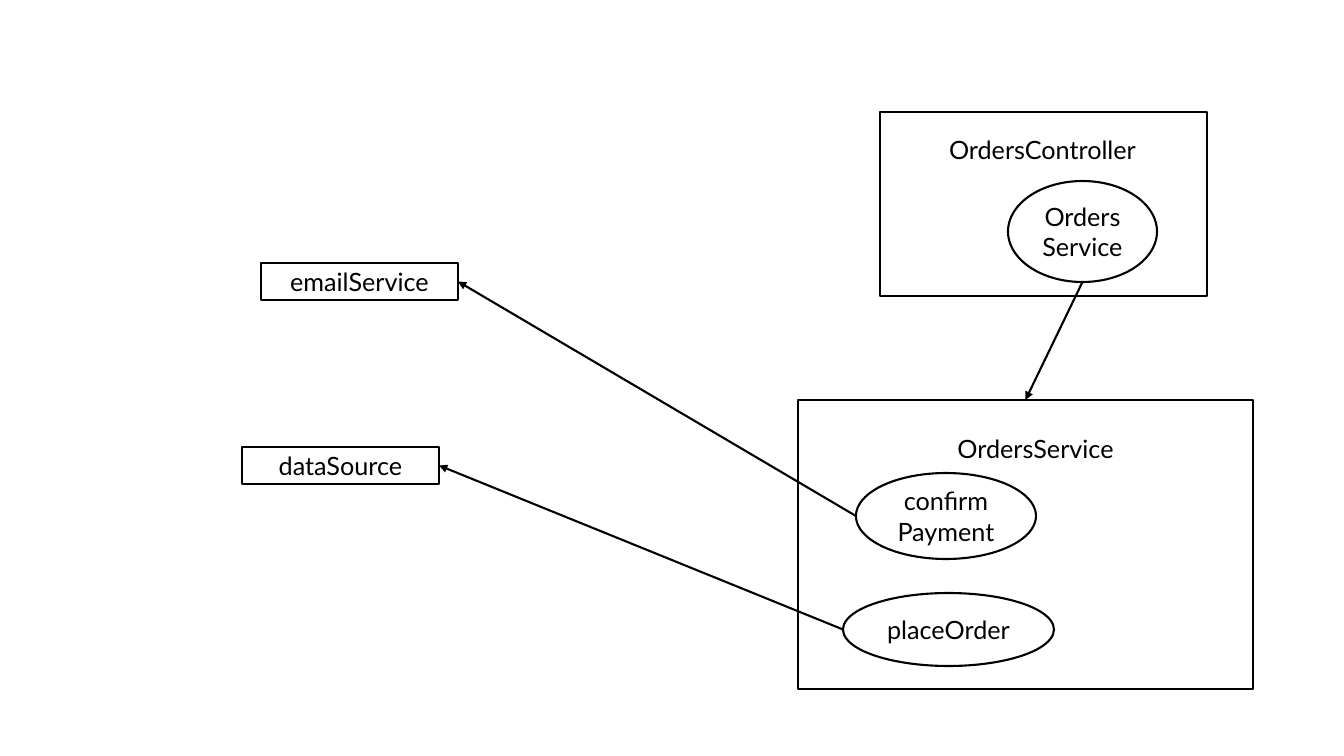
"""Draw the order controller, its service and the beans they call."""
import pptx
import pptx.dml.color
import pptx.enum.shapes
import pptx.enum.text
import pptx.oxml
import pptx.oxml.ns
import pptx.util

BLACK = pptx.dml.color.RGBColor(0, 0, 0)
WHITE = pptx.dml.color.RGBColor(255, 255, 255)
RECT = pptx.enum.shapes.MSO_SHAPE.RECTANGLE
OVAL = pptx.enum.shapes.MSO_SHAPE.OVAL
FONT = {"name": "Lato", "size": pptx.util.Pt(18)}
WIDTH = pptx.util.Pt(1.5)


def px(count):
    """Turn pixels into EMU."""
    return round(count * 914400 / 100.8)


def ink(line, color):
    """Give a line its colour and width."""
    line.color.rgb = color
    line.width = WIDTH


def node(slide, kind, place, lines=(), edge=BLACK):
    """Add a white shape with centred lines of text."""
    shape = slide.shapes.add_shape(kind, *map(px, place))
    shape.shadow.inherit = False
    shape.fill.solid()
    shape.fill.fore_color.rgb = WHITE
    ink(shape.line, edge)
    frame = shape.text_frame
    frame.word_wrap = True
    frame.vertical_anchor = pptx.enum.text.MSO_ANCHOR.MIDDLE
    frame.text = "\n".join(lines)
    for para in frame.paragraphs:
        para.alignment = pptx.enum.text.PP_ALIGN.CENTER
        for key, value in FONT.items():
            setattr(para.font, key, value)
        para.font.color.rgb = BLACK
    return shape


def title(slide, left, top, text):
    """Add the borderless name of a box."""
    node(slide, RECT, (left, top, 211, 34), [text], WHITE)


def bean(slide, left, top, text):
    """Add a small named box."""
    return node(slide, RECT, (left, top, 197, 37), [text])


def arrow(slide, start, end):
    """Add a straight arrow between two points in EMU."""
    kind = pptx.enum.shapes.MSO_CONNECTOR.STRAIGHT
    link = slide.shapes.add_connector(kind, *start, *end)
    ink(link.line, BLACK)
    space = pptx.oxml.ns.nsdecls("a")
    head = pptx.oxml.parse_xml(f'<a:tailEnd {space} type="triangle"/>')
    link.line._get_or_add_ln().append(head)
    plain = pptx.oxml.parse_xml(f"<a:effectLst {space}/>")
    link._element.spPr.append(plain)


def spot(shape, across, down):
    """Find a point at given shares of a shape's width and height."""
    return (round(shape.left + shape.width * across),
            round(shape.top + shape.height * down))


def main():
    """Build and save the slide."""
    deck = pptx.Presentation()
    deck.slide_width, deck.slide_height = px(1344), px(756)
    slide = deck.slides.add_slide(deck.slide_layouts[6])

    node(slide, RECT, (880, 112, 327, 184))
    title(slide, 937, 132, "OrdersController")
    service = node(slide, RECT, (798, 400, 455, 289))
    title(slide, 930, 431, "OrdersService")
    field = node(slide, OVAL, (1008, 181, 149, 101), ["OrdersService"])
    arrow(slide, spot(field, 0.5, 1), spot(service, 0.5, 0))

    pay = node(slide, OVAL, (856, 473, 180, 86), ["confirm", "Payment"])
    place = node(slide, OVAL, (843, 593, 211, 73), ["placeOrder"])
    data = bean(slide, 242, 447, "dataSource")
    email = bean(slide, 261, 263, "emailService")
    for call, target in ((pay, email), (place, data)):
        arrow(slide, spot(call, 0, 0.5), spot(target, 1, 0.5))

    deck.save("out.pptx")


if __name__ == "__main__":
    main()
